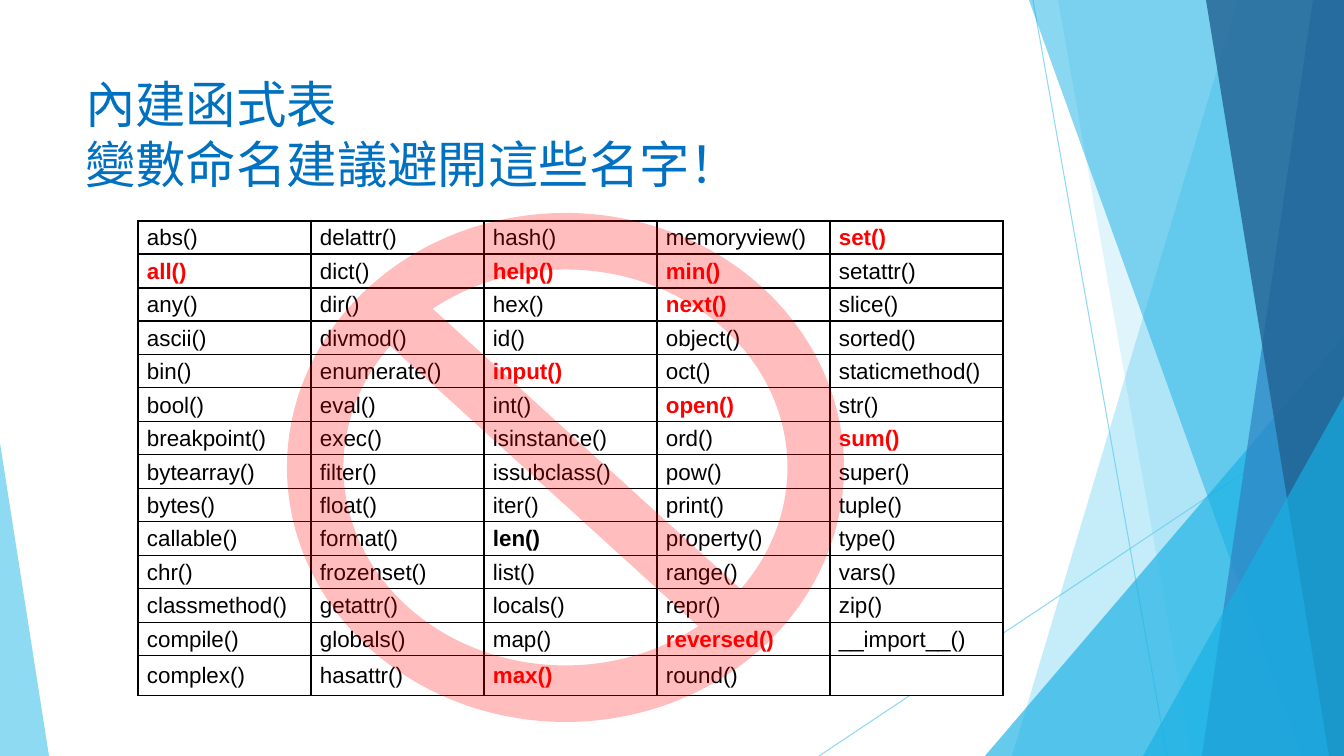
from lxml import etree
from pptx import Presentation
from pptx.dml.color import RGBColor
from pptx.enum import shapes, text
from pptx.oxml import ns
from pptx.util import Pt

PX = 914400 / 100.8
HUES = {"sky": "5FCBEF", "cyan": "17B0E4", "blue": "2E83C3", "navy": "226292",
        "title": "0070C0", "red": "FF0000", "black": "000000", "white": "FFFFFF"}


def px(*sizes):
    return [round(size * PX) for size in sizes]


def paint(fill, hue, alpha=100):
    fill.solid()
    fill.fore_color.rgb = RGBColor.from_string(HUES[hue])
    if alpha < 100:
        color = fill._xPr.find(".//" + ns.qn("a:srgbClr"))
        etree.SubElement(color, ns.qn("a:alpha")).set("val", str(alpha * 1000))


deck = Presentation()
deck.slide_width, deck.slide_height = px(1344, 756)
slide = deck.slides.add_slide(deck.slide_layouts[5])
items = slide.shapes

title = items.title
title.left, title.top, title.width, title.height = px(75, 68, 948, 145)
frame = title.text_frame
frame.text = "內建函式表\v變數命名建議避開這些名字！"
look = {"word_wrap": True, "auto_size": text.MSO_AUTO_SIZE.NONE,
        "vertical_anchor": text.MSO_ANCHOR.TOP}
for key, value in look.items():
    setattr(frame, key, value)
frame.paragraphs[0].alignment = text.PP_ALIGN.LEFT
for run in frame.paragraphs[0].runs:
    for key, value in {"size": Pt(36), "name": "Roboto"}.items():
        setattr(run.font, key, value)
    paint(run.font.fill, "title")

for ends in [(1033, 0, 1167, 756), (1344, 406, 819, 756)]:
    line = items.add_connector(shapes.MSO_CONNECTOR.STRAIGHT, *px(*ends))
    line.line.width = Pt(0.75)
    paint(line.line.fill, "sky", 70)
    etree.SubElement(line._element.spPr, ns.qn("a:effectLst"))

TRI = shapes.MSO_SHAPE.ISOSCELES_TRIANGLE
BAN = shapes.MSO_SHAPE.NO_SYMBOL
facets = [
    ("band", (1238, 1012), None, "sky", 36),
    ("band", (1058, 1192), None, "sky", 20),
    (TRI, (985, 336, 359, 420), 1, "cyan", 66),
    ("band", (1029, 1301), None, "cyan", 50),
    ("band", (1313, 1202), None, "blue", 70),
    ("band", (1206, 1329), None, "navy", 80),
    (TRI, (1143, 396, 201, 360), 1, "cyan", 66),
    (TRI, (0, 443, 49, 313), 0, "sky", 70),
    ("table", (138, 221, 865, 475), None, None, None),
    (BAN, (287, 213, 557, 509), 0.111, "red", 26),
]

columns = [
    "abs all any ascii bin bool breakpoint bytearray bytes callable chr "
    "classmethod compile complex",
    "delattr dict dir divmod enumerate eval exec filter float format frozenset "
    "getattr globals hasattr",
    "hash help hex id input int isinstance issubclass iter len list locals map max",
    "memoryview min next object oct open ord pow print property range repr "
    "reversed round",
    "set setattr slice sorted staticmethod str sum super tuple type vars zip __import__",
]
alerts = "set all help min next input open sum reversed max".split()
ROWS = 14

for kind, box, adjust, hue, alpha in facets:
    if kind == "table":
        table = items.add_table(ROWS, len(columns), *px(*box)).table
        table.first_row = table.horz_banding = False
        for column in table.columns:
            column.width = px(173)[0]
        for r, row in enumerate(table.rows):
            row.height = px(40 if r == ROWS - 1 else 33 + r % 2)[0]
        continue
    if kind == "band":
        top, base = box
        pen = items.build_freeform(top, 0, PX)
        pen.add_line_segments([(1344, 0), (1344, 756), (base, 756)])
        facet = pen.convert_to_shape()
    else:
        facet = items.add_shape(kind, *px(*box))
        facet.adjustments[0] = adjust
    facet.shadow.inherit = False
    facet.line.fill.background()
    paint(facet.fill, hue, alpha)

inset, thin = px(9, 1)
format = {"margin_left": inset, "margin_right": thin, "margin_top": thin,
          "margin_bottom": 0, "vertical_anchor": text.MSO_ANCHOR.MIDDLE}
for c, column in enumerate(columns):
    names = column.split()
    for r in range(ROWS):
        cell = table.cell(r, c)
        for key, value in format.items():
            setattr(cell, key, value)
        props = cell._tc.get_or_add_tcPr()
        for side in ("lnL", "lnR", "lnT", "lnB"):
            edge = etree.SubElement(props, ns.qn("a:" + side), w=str(Pt(1)))
            solid = etree.SubElement(edge, ns.qn("a:solidFill"))
            etree.SubElement(solid, ns.qn("a:srgbClr"), val=HUES["black"])
        paint(cell.fill, "white")
        if r < len(names):
            name = names[r]
            run = cell.text_frame.paragraphs[0].add_run()
            run.text = name + "()"
            style = {"size": Pt(16), "name": "Arial", "bold": name in alerts + ["len"]}
            for key, value in style.items():
                setattr(run.font, key, value)
            paint(run.font.fill, "red" if name in alerts else "black")

deck.save("out.pptx")
